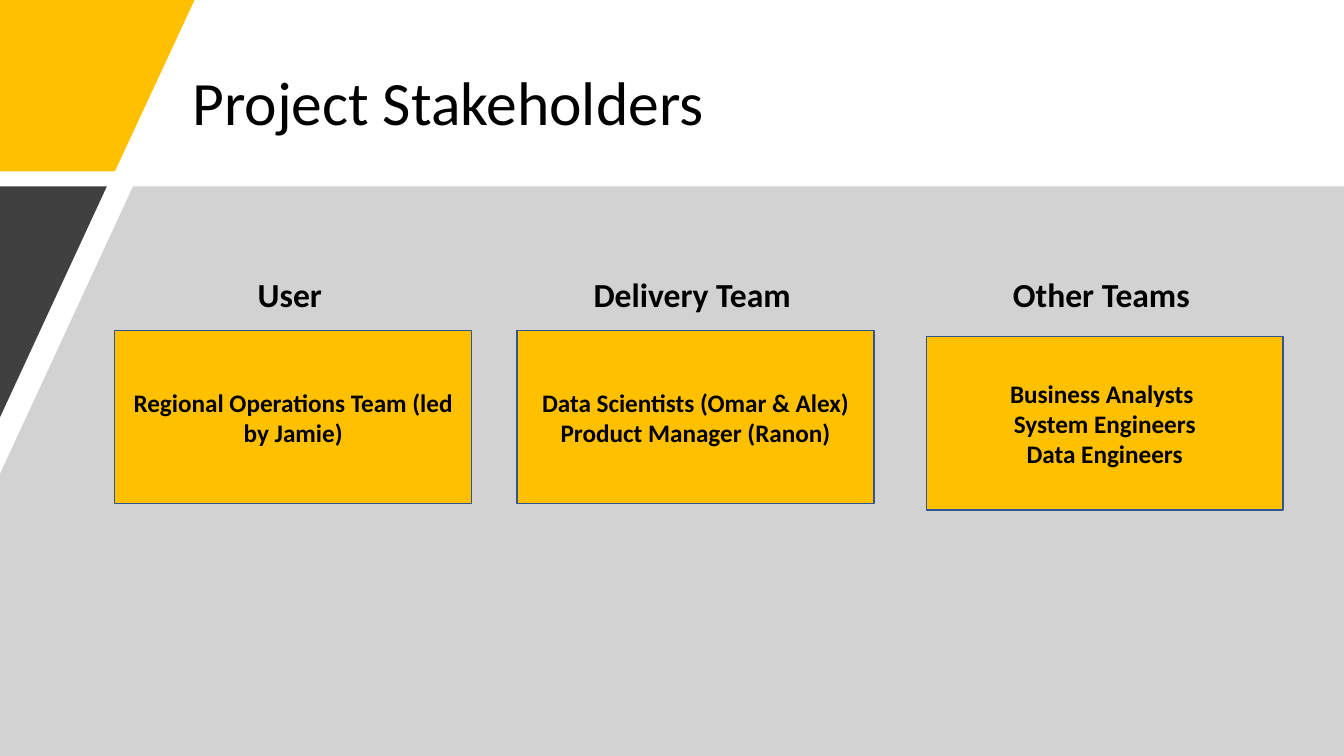
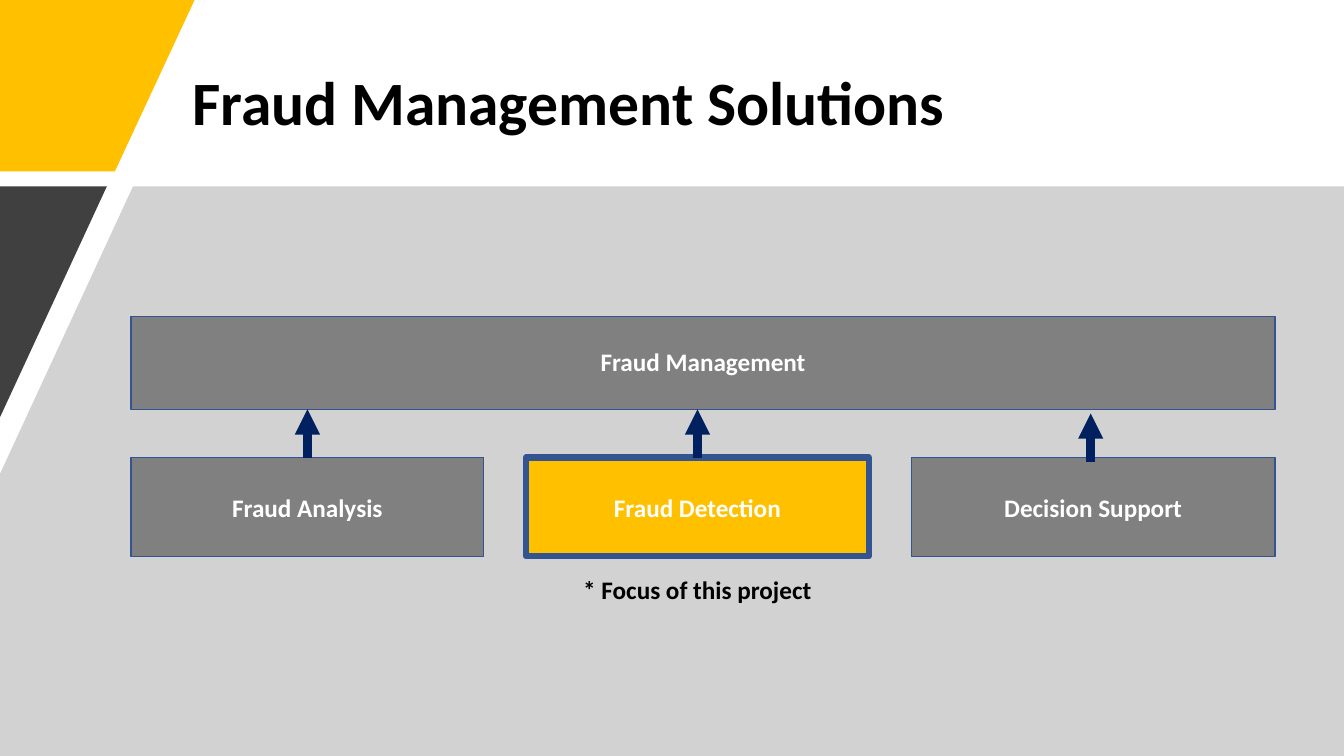
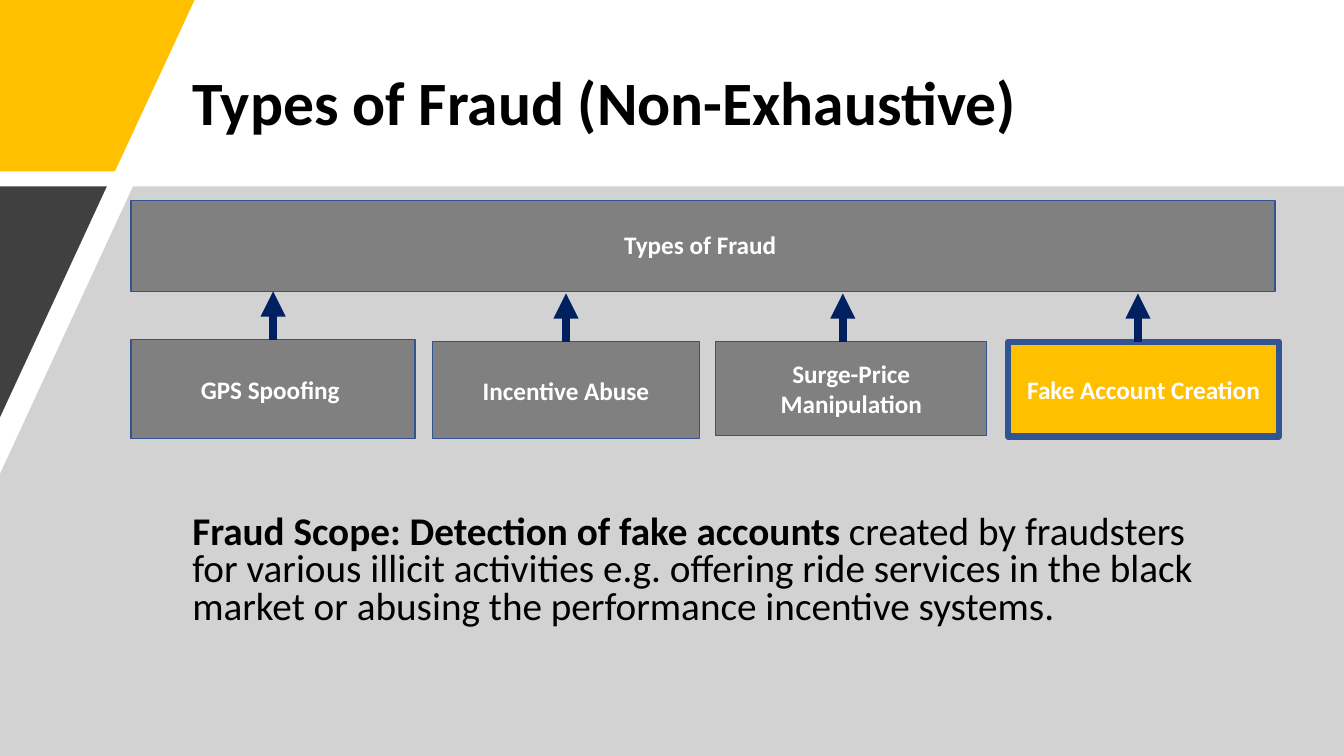
from dataclasses import dataclass

from lxml.etree import SubElement
from pptx import Presentation
from pptx.dml.color import RGBColor
from pptx.enum.shapes import MSO_CONNECTOR, MSO_SHAPE
from pptx.enum.text import MSO_ANCHOR, PP_ALIGN
from pptx.oxml.ns import qn
from pptx.util import Pt

PAGE_WIDTH, PAGE_HEIGHT = 960, 540
FONT = "Calibri"
AMBER = "FFC000"
CHARCOAL = "404040"
SILVER = "A6A6A6"
GRAY = "808080"
BLUE = "325491"
NAVY = "002060"
BLACK = "000000"
WHITE = "FFFFFF"
TITLE_SIZE, HEADING_SIZE, LABEL_SIZE, SCOPE_SIZE = 44, 24, 18, 28
BAND_TOP = 133.2
ARROW_LENGTH = 34.5


@dataclass
class Leaf:
    label: str
    left: float
    top: float
    width: float
    height: float
    focus: bool = False
    arrow_shift: tuple = (0, 0)


def color(hex_code):
    return RGBColor.from_string(hex_code)


def write(box, paragraphs, size, ink, align=PP_ALIGN.CENTER,
          anchor=MSO_ANCHOR.MIDDLE, spacing=1.0):
    frame = box.text_frame
    frame.word_wrap = True
    frame.vertical_anchor = anchor
    for index, runs in enumerate(paragraphs):
        para = frame.paragraphs[0] if index == 0 else frame.add_paragraph()
        para.alignment = align
        para.line_spacing = spacing
        for text, bold in runs:
            span = para.add_run()
            span.text = text
            span.font.name = FONT
            span.font.size = Pt(size)
            span.font.bold = bold
            span.font.color.rgb = color(ink)


def add_text(page, left, top, width, height, paragraphs, size, **style):
    box = page.shapes.add_textbox(Pt(left), Pt(top), Pt(width), Pt(height))
    write(box, paragraphs, size, BLACK, **style)
    return box


def add_card(page, left, top, width, height, lines, fill, ink,
             border=1, spacing=1.0):
    card = page.shapes.add_shape(
        MSO_SHAPE.RECTANGLE, Pt(left), Pt(top), Pt(width), Pt(height))
    card.shadow.inherit = False
    card.fill.solid()
    card.fill.fore_color.rgb = color(fill)
    card.line.color.rgb = color(BLUE)
    card.line.width = Pt(border)
    write(card, [[(line, True)] for line in lines], LABEL_SIZE, ink,
          spacing=spacing)
    return card


def add_polygon(page, points, fill, opacity=100):
    corners = [(Pt(x), Pt(y)) for x, y in points]
    builder = page.shapes.build_freeform(*corners[0])
    builder.add_line_segments(corners[1:], close=True)
    polygon = builder.convert_to_shape()
    polygon.shadow.inherit = False
    polygon.fill.solid()
    polygon.fill.fore_color.rgb = color(fill)
    polygon.line.fill.background()
    if opacity < 100:
        tint = polygon.fill._xPr.find(".//" + qn("a:srgbClr"))
        SubElement(tint, qn("a:alpha"), val=str(opacity * 1000))


def add_arrow(page, card, shift):
    x = card.left + card.width // 2 + Pt(shift[0])
    y = card.top + Pt(shift[1])
    end_y = y - Pt(ARROW_LENGTH)
    arrow = page.shapes.add_connector(MSO_CONNECTOR.STRAIGHT, x, y, x, end_y)
    if shift == (0, 0):
        arrow.begin_connect(card, 0)
    arrow.line.color.rgb = color(NAVY)
    arrow.line.width = Pt(6)
    SubElement(arrow.line._get_or_add_ln(), qn("a:tailEnd"), type="triangle")
    SubElement(arrow._element.spPr, qn("a:effectLst"))


def add_page(deck, title, bold=True):
    page = deck.slides.add_slide(deck.slide_layouts[6])
    add_text(page, 130.3, 28.8, 737.3, 93.6, [[(title, bold)]], TITLE_SIZE,
             align=PP_ALIGN.LEFT, spacing=0.9)
    add_polygon(page, [(0, 0), (139, 0), (82.1, 122.4), (0, 122.4)], AMBER)
    add_polygon(page, [(95, BAND_TOP), (PAGE_WIDTH, BAND_TOP),
                       (PAGE_WIDTH, PAGE_HEIGHT), (0, PAGE_HEIGHT),
                       (0, 338.4)], SILVER, opacity=50)
    add_polygon(page, [(0, BAND_TOP), (76.3, BAND_TOP), (0, 298.1)], CHARCOAL)
    return page


def add_team(page, left, top, heading, lines, drop=0):
    add_text(page, left - 5.3, top, 260.6, 41.8, [[(heading, True)]],
             HEADING_SIZE, anchor=MSO_ANCHOR.TOP, spacing=0.9)
    add_card(page, left, top + 41 + drop, 254.9, 123.8, lines, AMBER, BLACK)


def add_tree(page, left, top, width, bar_height, heading, leaves):
    add_card(page, left, top, width, bar_height, [heading], GRAY, WHITE,
             spacing=0.9)
    for leaf in leaves:
        card = add_card(page, left + leaf.left, top + leaf.top, leaf.width,
                        leaf.height, [leaf.label],
                        AMBER if leaf.focus else GRAY, WHITE,
                        border=4.5 if leaf.focus else 1)
        add_arrow(page, card, leaf.arrow_shift)


def stakeholders_page(deck):
    page = add_page(deck, "Project Stakeholders", bold=False)
    add_team(page, 82, 195.1, "User",
             ["Regional Operations Team (led by Jamie)"])
    add_team(page, 369.4, 195.1, "Delivery Team",
             ["Data Scientists (Omar & Alex)", "Product Manager (Ranon)"])
    add_team(page, 661.7, 195.1, "Other Teams",
             ["Business Analysts ", "System Engineers", "Data Engineers"],
             drop=4.3)


def solutions_page(deck):
    page = add_page(deck, "Fraud Management Solutions")
    add_tree(page, 93.6, 226.1, 817.2, 66.6, "Fraud Management", [
        Leaf("Fraud Analysis", 0, 100.8, 252, 70.5),
        Leaf("Fraud Detection", 282.2, 100.8, 244.8, 70.5, focus=True),
        Leaf("Decision Support", 557.3, 100.8, 260, 70.5,
             arrow_shift=(-1.8, 2.9)),
    ])
    add_text(page, 375.8, 406.8, 244.8, 28.8,
             [[("* Focus of this project", True)]], LABEL_SIZE,
             anchor=MSO_ANCHOR.TOP)


def types_page(deck):
    page = add_page(deck, "Types of Fraud (Non-Exhaustive)")
    add_tree(page, 93.6, 143.3, 817.2, 64.8, "Types of Fraud ", [
        Leaf("GPS Spoofing ", 0, 99.3, 203, 70.5),
        Leaf("Incentive Abuse", 215.3, 100.8, 190.8, 69),
        Leaf("Surge-Price Manipulation", 417.6, 100.8, 193.7, 67,
             arrow_shift=(-6, 0)),
        Leaf("Fake Account Creation", 626.4, 100.8, 193.7, 67.7, focus=True,
             arrow_shift=(-4, 0)),
    ])
    scope = add_text(page, 130.3, 375.1, 737.3, 93.6, [[
        ("Fraud Scope: Detection of fake accounts", True),
        (" created by fraudsters for various illicit activities e.g. offering "
         "ride services in the black market or abusing the performance "
         "incentive systems.", False),
    ]], SCOPE_SIZE, align=PP_ALIGN.LEFT, spacing=0.8)
    scope.text_frame.margin_bottom = Pt(31)


def main():
    deck = Presentation()
    deck.slide_width = Pt(PAGE_WIDTH)
    deck.slide_height = Pt(PAGE_HEIGHT)
    stakeholders_page(deck)
    solutions_page(deck)
    types_page(deck)
    deck.save("out.pptx")


if __name__ == "__main__":
    main()
